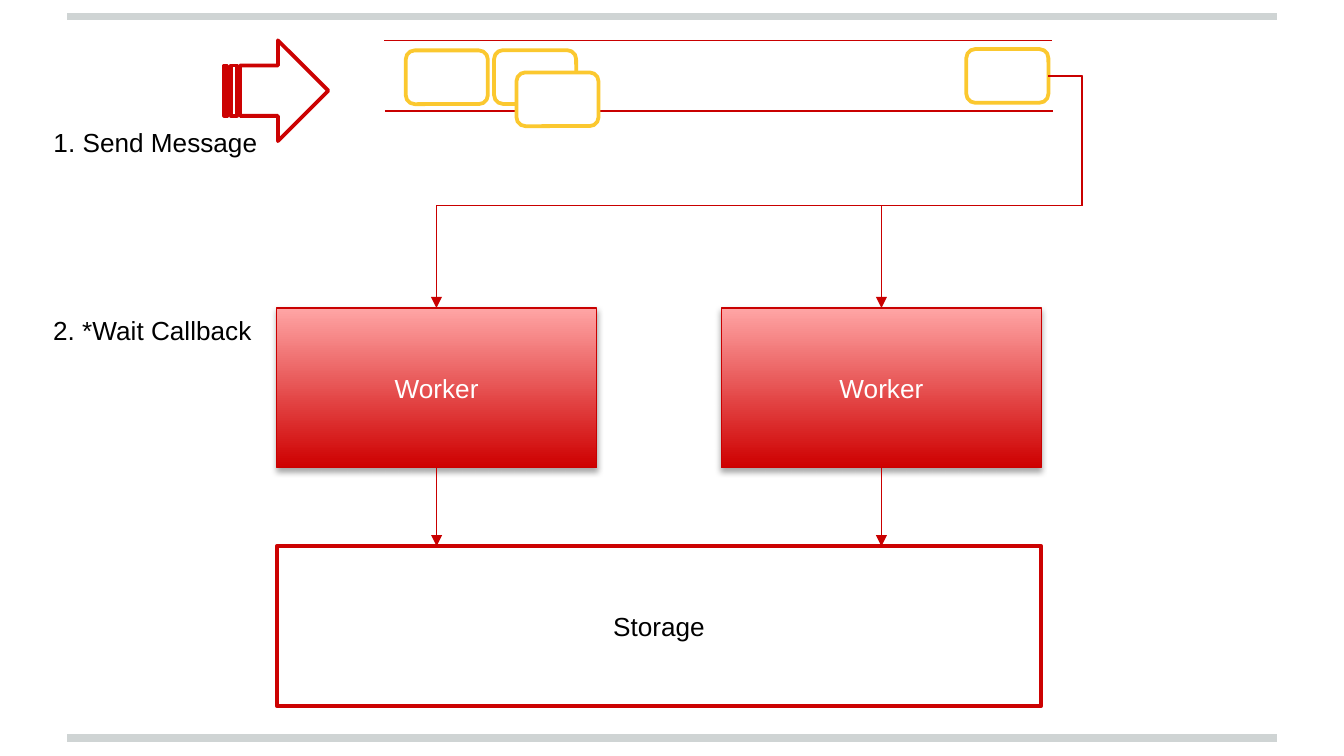
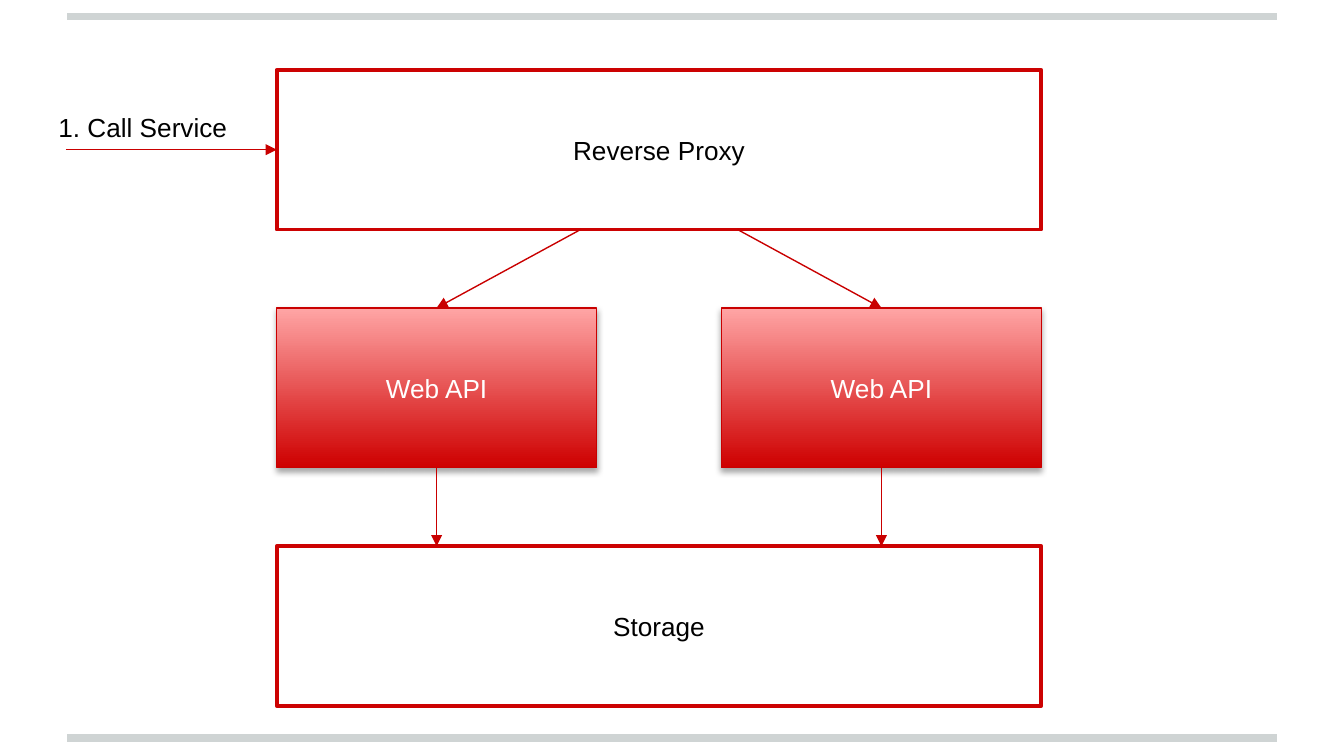
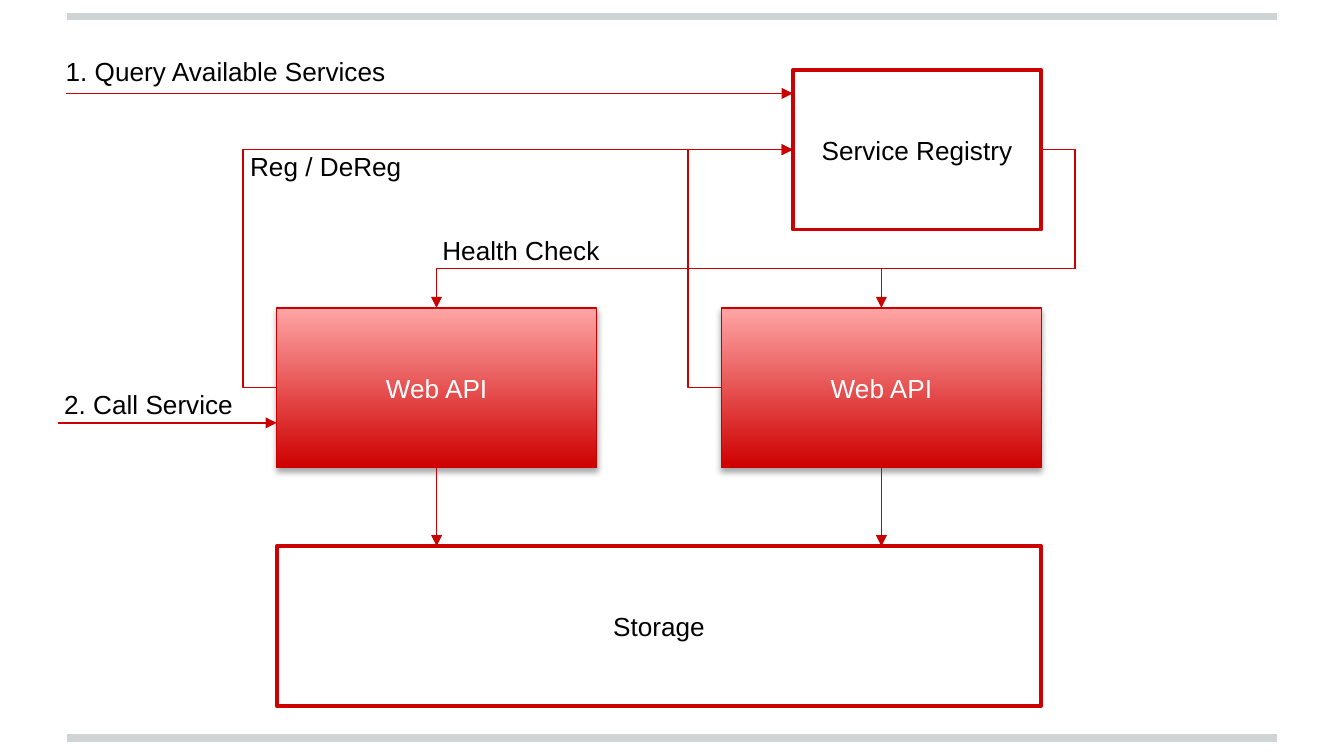
import pptx
import pptx.util
import pptx.dml.color
import pptx.enum.shapes
import pptx.enum.text
import pptx.oxml.ns
from lxml import etree

Pt = pptx.util.Pt
qn = pptx.oxml.ns.qn
SHAPE = pptx.enum.shapes.MSO_SHAPE
WIRE = pptx.enum.shapes.MSO_CONNECTOR

FONT = "Arial"
SIZE = 14
RED = "C90000"
EDGE = "CC0202"
DARK = "CE0000"
PINK = "FFA5A5"
GOLD = "FBC82F"
GREY = "CFD4D4"
WHITE = "FFFFFF"
BLACK = "000000"

LEFT = 148.2
WIDE = 409.7
NODE = 171.4
HIGH = 85.6
ROWS = [37.4 + 127.6 * i for i in range(3)]
COLS = [LEFT, LEFT + WIDE - NODE]
STUB = 18
TOP, WEST, BASE, EAST = range(4)


def tint(code):
    return pptx.dml.color.RGBColor.from_string(code)


def write(frame, text, color):
    par = frame.paragraphs[0]
    par.text = text
    par.font.name = FONT
    par.font.size = Pt(SIZE)
    par.font.color.rgb = tint(color)
    return par


def shape(slide, kind, x, y, w, h, edge=EDGE, width=2):
    item = slide.shapes.add_shape(kind, Pt(x), Pt(y), Pt(w), Pt(h))
    item.shadow.inherit = False
    item.fill.solid()
    item.fill.fore_color.rgb = tint(WHITE)
    item.line.color.rgb = tint(edge)
    item.line.width = Pt(width)
    return item


def center(item, text, color):
    frame = item.text_frame
    frame.vertical_anchor = pptx.enum.text.MSO_ANCHOR.MIDDLE
    write(frame, text, color).alignment = pptx.enum.text.PP_ALIGN.CENTER


def panel(slide, text, row, x=LEFT, w=WIDE):
    item = shape(slide, SHAPE.RECTANGLE, x, ROWS[row], w, HIGH)
    center(item, text, BLACK)
    return item


def shade(item):
    effects = item._element.spPr.find(qn("a:effectLst"))
    outer = etree.SubElement(
        effects, qn("a:outerShdw"), blurRad=str(Pt(3.15)), dist=str(Pt(1.8)),
        dir="5400000", rotWithShape="0")
    color = etree.SubElement(outer, qn("a:srgbClr"), val=BLACK)
    etree.SubElement(color, qn("a:alpha"), val="35000")


def node(slide, text, x):
    item = shape(slide, SHAPE.RECTANGLE, x, ROWS[1], NODE, HIGH, RED, 0.75)
    item.fill.gradient()
    item.fill.gradient_angle = 90
    for stop, color, place in zip(item.fill.gradient_stops, (DARK, PINK), (0, 1)):
        stop.color.rgb = tint(color)
        stop.position = place
    shade(item)
    center(item, text, WHITE)
    return item


def label(slide, text, x, y, w):
    box = slide.shapes.add_textbox(Pt(x), Pt(y), Pt(w), Pt(24.2))
    frame = box.text_frame
    frame.word_wrap = False
    frame.auto_size = pptx.enum.text.MSO_AUTO_SIZE.SHAPE_TO_FIT_TEXT
    write(frame, text, BLACK)


def line(slide, start, end, head=True, color=RED, width=0.75, kind=WIRE.STRAIGHT):
    wire = slide.shapes.add_connector(kind, *map(Pt, start + end))
    wire.line.color.rgb = tint(color)
    wire.line.width = Pt(width)
    props = wire._element.spPr
    if head:
        etree.SubElement(props.find(qn("a:ln")), qn("a:tailEnd"), type="triangle")
    etree.SubElement(props, qn("a:effectLst"))
    return wire


def bend(slide, source, out, target, into, x, y=None):
    wire = line(slide, (0, 0), (0, 0), kind=WIRE.ELBOW)
    wire.begin_connect(source, out)
    wire.end_connect(target, into)
    ratios = [(Pt(x) - wire.begin_x) / (wire.end_x - wire.begin_x)]
    if y is not None:
        ratios.append((Pt(y) - wire.begin_y) / (wire.end_y - wire.begin_y))
    geom = wire._element.spPr.find(qn("a:prstGeom"))
    geom.set("prst", f"bentConnector{len(ratios) + 2}")
    guides = geom.find(qn("a:avLst"))
    for i, ratio in enumerate(ratios, 1):
        etree.SubElement(guides, qn("a:gd"), name=f"adj{i}",
                         fmla=f"val {round(ratio * 100000)}")


def fan(slide, source, nodes, y):
    x = (source.left + source.width).pt + STUB if hasattr(
        source.left + source.width, "pt") else (source.left + source.width) / Pt(1) + STUB
    for item in reversed(nodes):
        bend(slide, source, EAST, item, TOP, x, y)


def start(deck):
    slide = deck.slides.add_slide(deck.slide_layouts[6])
    for y in (395.5, 8.8):
        line(slide, (36, y), (684, y), False, GREY, 4)
    return slide


def store(slide, text):
    nodes = [node(slide, text, x) for x in COLS]
    panel(slide, "Storage", 2)
    for item, x in zip(nodes, COLS):
        mid = x + NODE / 2
        wire = line(slide, (mid, ROWS[1] + HIGH), (mid, ROWS[2]))
        wire.begin_connect(item, BASE)
    return nodes


def queue(deck):
    slide = start(deck)
    nodes = store(slide, "Worker")
    shape(slide, SHAPE.STRIPED_RIGHT_ARROW, 120.2, 21.6, 55.7, 54)
    for x, y in ((205.8, 21.6), (206.2, 59.5)):
        line(slide, (x, y), (x + 357.8, y), False)
    for x, y in ((217.4, 27), (264.7, 26.9), (276.7, 38.8), (517.7, 26.3)):
        last = shape(slide, SHAPE.ROUNDED_RECTANGLE, x, y, 44, 28.8, GOLD)
    fan(slide, last, nodes, 110.1)
    label(slide, "1. Send Message", 21.6, 64.3, 124.6)
    label(slide, "2. *Wait Callback", 21.4, 165, 122.4)


def proxy(deck):
    slide = start(deck)
    front = panel(slide, "Reverse Proxy", 0)
    nodes = store(slide, "Web API")
    for item, col, x in zip(nodes, COLS, (311, 395.2)):
        wire = line(slide, (x, ROWS[0] + HIGH), (col + NODE / 2, ROWS[1]))
        wire.end_connect(item, TOP)
    mid = ROWS[0] + HIGH / 2
    line(slide, (35.3, mid), (LEFT, mid)).end_connect(front, WEST)
    label(slide, "1. Call Service", 24.2, 56.2, 105.8)


def registry(deck):
    slide = start(deck)
    index = panel(slide, "Service Registry", 0, 424.7, 133.2)
    nodes = store(slide, "Web API")
    line(slide, (35.3, 50.1), (424.7, 50.1))
    fan(slide, index, nodes, 143.8)
    for item, x in zip(nodes, COLS):
        bend(slide, item, WEST, index, WEST, x - STUB)
    label(slide, "Reg / DeReg", 126.9, 77.2, 95.8)
    label(slide, "Health Check", 229.9, 122, 99.4)
    label(slide, "1. Query Available Services", 28.1, 26.1, 187.9)
    line(slide, (31, 226.6), (LEFT, 226.6))
    label(slide, "2. Call Service", 27.3, 204.6, 105.8)


def main():
    deck = pptx.Presentation()
    deck.slide_width = Pt(720)
    deck.slide_height = Pt(405)
    queue(deck)
    proxy(deck)
    registry(deck)
    deck.save("out.pptx")


if __name__ == "__main__":
    main()
